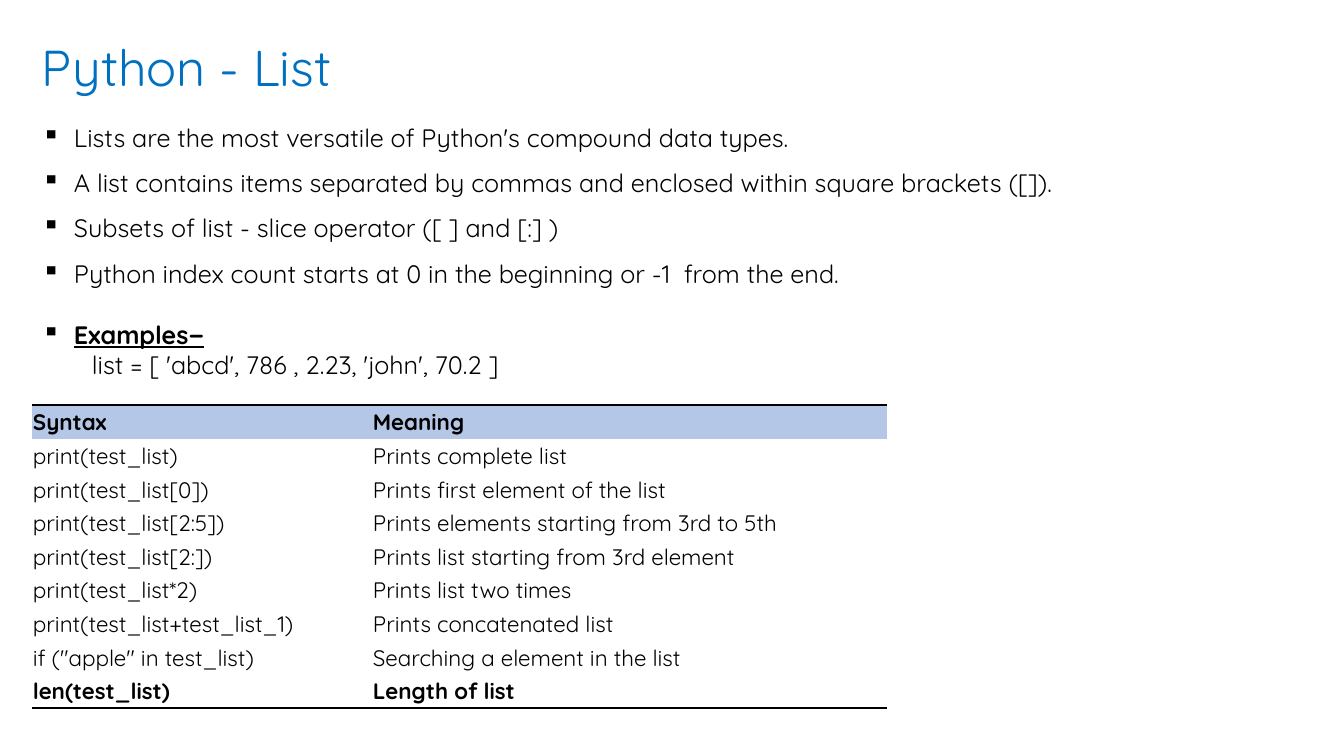
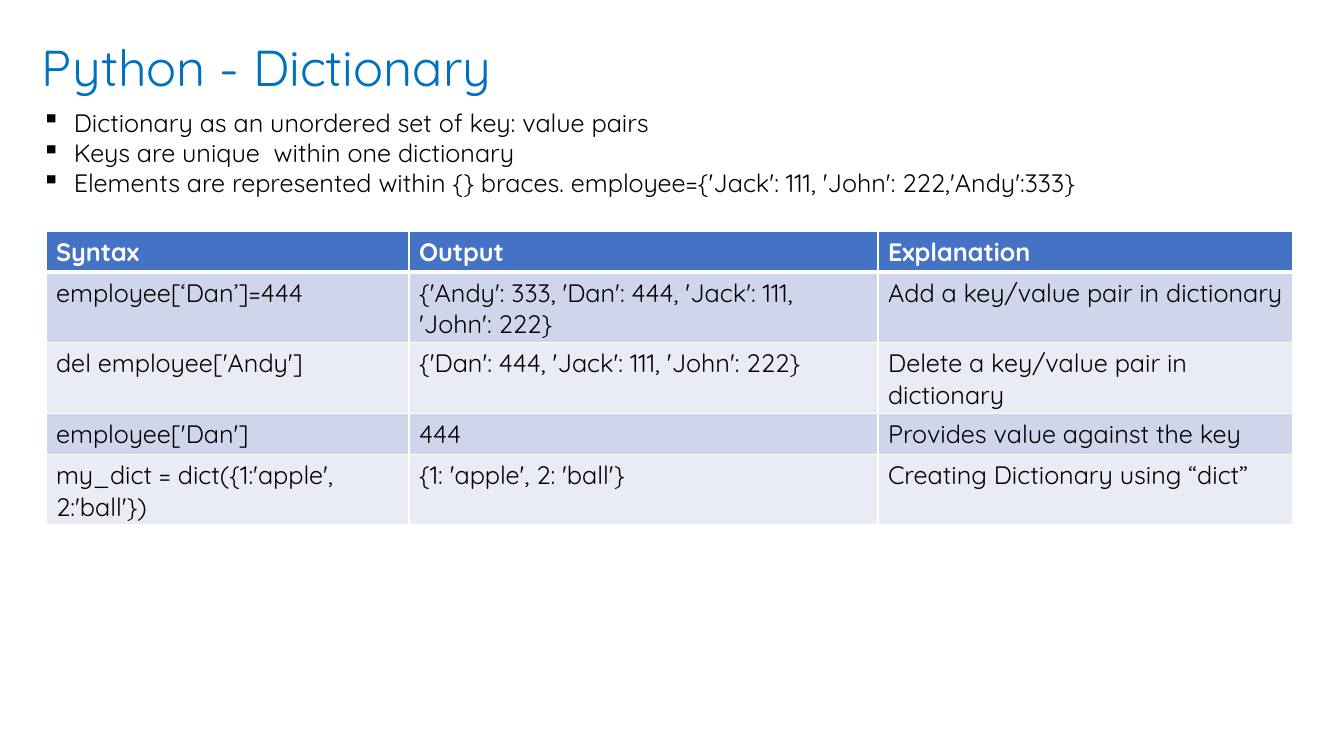
from pptx import Presentation
from pptx.dml.color import RGBColor
from pptx.enum.text import MSO_ANCHOR
from pptx.oxml.ns import qn
from pptx.util import Pt
from lxml.etree import SubElement

EMU_PER_PX = 914400 / 100.8
FONT = "Quicksand"
BLACK = RGBColor(0x00, 0x00, 0x00)
WHITE = RGBColor(0xFF, 0xFF, 0xFF)
TITLE_BLUE = RGBColor(0x00, 0x70, 0xC0)
PALE_BLUE = RGBColor(0xB4, 0xC7, 0xE7)
HEADER_BLUE = RGBColor(0x44, 0x72, 0xC4)
BAND_DARK = RGBColor(0xCF, 0xD5, 0xEA)
BAND_LIGHT = RGBColor(0xE9, 0xEB, 0xF5)
PLAIN_TABLE_STYLE = "{2D5ABB26-0587-4C30-8999-92F81FD0307C}"

LEFT = 32
BULLET_INDENT = 32
CODE_INDENT = 50

LIST_BULLETS = [
    "Lists are the most versatile of Python's compound data types.",
    "A list contains items separated by commas and enclosed within square brackets ([]).",
    "Subsets of list - slice operator ([ ] and [:] )",
    "Python index count starts at 0 in the beginning or -1  from the end.",
]
LIST_ROWS = [
    ("Syntax", "Meaning"),
    ("print(test_list)", "Prints complete list"),
    ("print(test_list[0])", "Prints first element of the list"),
    ("print(test_list[2:5])", "Prints elements starting from 3rd to 5th"),
    ("print(test_list[2:])", "Prints list starting from 3rd element"),
    ("print(test_list*2)", "Prints list two times"),
    ("print(test_list+test_list_1)", "Prints concatenated list"),
    ('if ("apple" in test_list)', "Searching a element in the list"),
    ("len(test_list)", "Length of list"),
]
DICTIONARY_BULLETS = [
    "Dictionary as an unordered set of key: value pairs",
    "Keys are unique  within one dictionary",
    "Elements are represented within {} braces. employee={'Jack': 111, 'John': 222,'Andy':333}",
]
DICTIONARY_ROWS = [
    ("Syntax", "Output", "Explanation"),
    ("employee[‘Dan’]=444", "{'Andy': 333, 'Dan': 444, 'Jack': 111, 'John': 222}",
     "Add a key/value pair in dictionary"),
    ("del employee['Andy']", "{'Dan': 444, 'Jack': 111, 'John': 222}",
     "Delete a key/value pair in dictionary"),
    ("employee['Dan']", "444", "Provides value against the key"),
    ("my_dict = dict({1:'apple', 2:'ball'})", "{1: 'apple', 2: 'ball'}",
     "Creating Dictionary using “dict”"),
]


def px(length):
    return round(length * EMU_PER_PX)


def set_font(paragraph, size, color=BLACK, bold=False, underline=False):
    font = paragraph.font
    font.name, font.size, font.bold = FONT, Pt(size), bold
    font.underline = underline
    font.color.rgb = color


def indent(paragraph, margin, first_line=0, bullet=None):
    """Set the left margin; call before set_font, as the bullet precedes the font."""
    properties = paragraph._p.get_or_add_pPr()
    properties.set("marL", str(px(margin)))
    properties.set("indent", str(px(first_line)))
    if bullet:
        SubElement(properties, qn("a:buChar"), char=bullet)


def set_borders(cell, borders):
    """Draw (color, points) borders keyed by side; call before filling the cell."""
    properties = cell._tc.get_or_add_tcPr()
    for side in "LRTB":
        if side in borders:
            color, points = borders[side]
            line = SubElement(properties, qn(f"a:ln{side}"), w=str(Pt(points)))
            fill = SubElement(line, qn("a:solidFill"))
            SubElement(fill, qn("a:srgbClr"), val=str(color))


class Deck:
    def __init__(self):
        self.presentation = Presentation()
        self.presentation.slide_width = px(1344)
        self.presentation.slide_height = px(756)
        self.slide = None

    def add_slide(self, title):
        self.slide = self.presentation.slides.add_slide(self.presentation.slide_layouts[6])
        heading = self.text_frame(LEFT, 31, 959, 72).paragraphs[0]
        heading.text = title
        set_font(heading, 36, TITLE_BLUE)

    def text_frame(self, left, top, width, height):
        frame = self.slide.shapes.add_textbox(px(left), px(top), px(width), px(height)).text_frame
        frame.word_wrap = True
        return frame

    def bullets(self, items, width, height, spacing=1.0):
        frame = self.text_frame(LEFT, 102, width, height)
        for index, item in enumerate(items):
            paragraph = frame.add_paragraph() if index else frame.paragraphs[0]
            self.bullet(paragraph, item, spacing=spacing)
        return frame

    def bullet(self, paragraph, text, spacing=1.0, **style):
        paragraph.text = text
        paragraph.line_spacing = spacing
        indent(paragraph, BULLET_INDENT, -BULLET_INDENT, "▪")
        set_font(paragraph, 18, **style)

    def table(self, rows, left, top, column_widths, height, format_cell):
        table = self.slide.shapes.add_table(
            len(rows), len(column_widths), px(left), px(top),
            px(sum(column_widths)), px(height)).table
        table._tbl.tblPr.find(qn("a:tableStyleId")).text = PLAIN_TABLE_STYLE
        table.horz_banding = False
        for column, width in zip(table.columns, column_widths):
            column.width = px(width)
        for row_index, texts in enumerate(rows):
            for cell, text in zip(table.rows[row_index].cells, texts):
                cell.text = text
                format_cell(cell, row_index)
        return table


def format_list_cell(cell, row):
    last = len(LIST_ROWS) - 1
    rule = {0: "T", last: "B"}.get(row)
    if rule:
        set_borders(cell, {rule: (BLACK, 2)})
    cell.fill.solid()
    cell.fill.fore_color.rgb = WHITE if row else PALE_BLUE
    cell.margin_left = cell.margin_right = cell.margin_top = px(1)
    cell.margin_bottom = 0
    cell.vertical_anchor = MSO_ANCHOR.MIDDLE
    set_font(cell.text_frame.paragraphs[0], 16, bold=row in (0, last))


def format_dictionary_cell(cell, row):
    borders = dict.fromkeys("LRTB", (WHITE, 1))
    if row < 2:
        borders["T" if row else "B"] = (WHITE, 3)
    set_borders(cell, borders)
    cell.fill.solid()
    band = BAND_DARK if row % 2 else BAND_LIGHT
    cell.fill.fore_color.rgb = band if row else HEADER_BLUE
    set_font(cell.text_frame.paragraphs[0], 18, BLACK if row else WHITE, bold=row == 0)


def build_list_slide(deck):
    deck.add_slide("Python - List")
    body = deck.bullets(LIST_BULLETS, 1311, 361, spacing=1.5)
    examples = body.add_paragraph()
    examples.space_before = Pt(22)
    deck.bullet(examples, "Examples−", bold=True, underline=True)
    code = body.add_paragraph()
    code.text = "list = [ 'abcd', 786 , 2.23, 'john', 70.2 ]"
    indent(code, CODE_INDENT)
    set_font(code, 18)
    deck.table(LIST_ROWS, LEFT, 405, (340, 515), 303, format_list_cell)


def build_dictionary_slide(deck):
    deck.add_slide("Python - Dictionary")
    deck.bullets(DICTIONARY_BULLETS, 1287, 102)
    table = deck.table(DICTIONARY_ROWS, 46, 231, (363, 469, 415), 292, format_dictionary_cell)
    for row, height in zip(table.rows, (41, 70, 70, 41, 70)):
        row.height = px(height)


def main():
    deck = Deck()
    build_list_slide(deck)
    build_dictionary_slide(deck)
    deck.presentation.save("out.pptx")


if __name__ == "__main__":
    main()
